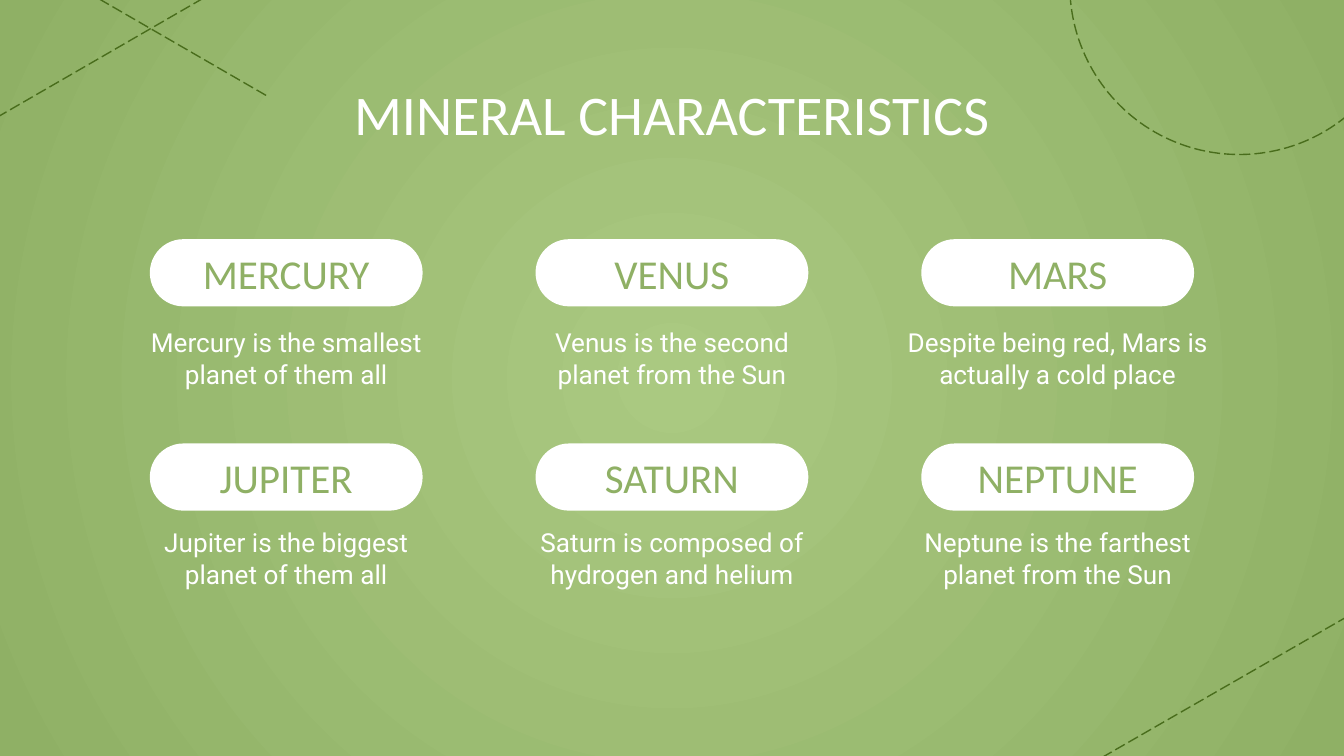
from dataclasses import dataclass

from lxml.etree import SubElement
from pptx import Presentation
from pptx.dml.color import RGBColor as RGB
from pptx.enum.dml import MSO_LINE as Dash
from pptx.enum.shapes import MSO_CONNECTOR as Wire, MSO_SHAPE as Form
from pptx.enum.text import MSO_ANCHOR as Anchor, MSO_AUTO_SIZE as Fit, PP_ALIGN as Align
from pptx.oxml.ns import qn
from pptx.util import Inches, Pt

WIDE = 10
HIGH = WIDE * 9 / 16
PITCH = 2.87  # between column centres
PILL = (2.03, 0.5)
NOTE = (2.52, 0.53)
HUES = {"glow": "AAC981", "leaf": "8FB065", "moss": "496D1C", "white": "FFFFFF"}
FONTS = {
    "title": {"name": "Calibri", "size": Pt(30)},
    "pill": {"name": "Calibri", "size": Pt(22)},
    "note": {"name": "Roboto", "size": Pt(14)},
}
FRAME = {
    "word_wrap": True,
    "auto_size": Fit.NONE,
    **{f"margin_{side}": Inches(0.1) for side in ("left", "top", "right", "bottom")},
}
DASHED = {"width": Pt(0.75), "dash_style": Dash.LONG_DASH}
RAYS = [
    (-0.9, 1.38, 4.26, -1.6),
    (1.98, 0.71, -0.84, -0.92),
    (7.81, 5.86, 10.63, 4.24),
]


@dataclass
class Planet:
    name: str
    fact: str


@dataclass
class Row:
    pill_top: float
    note_top: float
    planets: list[Planet]


ROWS = [
    Row(1.78, 2.33, [
        Planet("MERCURY", "Mercury is the smallest planet of them all"),
        Planet("VENUS", "Venus is the second planet from the Sun"),
        Planet("MARS", "Despite being red, Mars is actually a cold place"),
    ]),
    Row(3.3, 3.82, [
        Planet("JUPITER", "Jupiter is the biggest planet of them all"),
        Planet("SATURN", "Saturn is composed of hydrogen and helium"),
        Planet("NEPTUNE", "Neptune is the farthest planet from the Sun"),
    ]),
]


def hue(key: str) -> RGB:
    return RGB.from_string(HUES[key])


def apply(item, values: dict) -> None:
    for name, value in values.items():
        setattr(item, name, value)


def box(mid: float, top: float, size: tuple[float, float]) -> list[int]:
    """Bounds of an area centred on a column."""
    wide, high = size
    return [Inches(n) for n in (mid - wide / 2, top, wide, high)]


def write(shape, text: str, style: str, tint: str, anchor=Anchor.TOP) -> None:
    frame = shape.text_frame
    apply(frame, FRAME | {"vertical_anchor": anchor})
    frame.text = text
    para = frame.paragraphs[0]
    para.alignment = Align.CENTER
    apply(para.font, FONTS[style])
    para.font.color.rgb = hue(tint)


def dash(line) -> None:
    apply(line, DASHED)
    line.color.rgb = hue("moss")


def paint(slide) -> None:
    """Fill the background with a gradient that spreads from the centre."""
    fill = slide.background.fill
    fill.gradient()
    for stop, key in zip(fill.gradient_stops, ("glow", "leaf")):
        stop.color.rgb = hue(key)
    grad = slide.element.find(".//" + qn("a:gradFill"))
    grad.remove(grad.find(qn("a:lin")))
    ring = SubElement(grad, qn("a:path"), {"path": "circle"})
    SubElement(ring, qn("a:fillToRect"), dict.fromkeys("ltrb", "50000"))


def adorn(slide) -> None:
    """Add the dashed rays and circle at the corners."""
    for ends in RAYS:
        ray = slide.shapes.add_connector(Wire.STRAIGHT, *map(Inches, ends))
        dash(ray.line)
        SubElement(ray.element.spPr, qn("a:effectLst"))
    orb = slide.shapes.add_shape(Form.OVAL, *box(9.22, -1.37, (2.52, 2.52)))
    orb.shadow.inherit = False
    orb.fill.background()
    dash(orb.line)


def add_planet(slide, planet: Planet, mid: float, row: Row) -> None:
    pill = slide.shapes.add_shape(Form.ROUNDED_RECTANGLE, *box(mid, row.pill_top, PILL))
    pill.adjustments[0] = 0.5
    pill.shadow.inherit = False
    pill.fill.solid()
    pill.fill.fore_color.rgb = hue("white")
    pill.line.fill.background()
    write(pill, planet.name, "pill", "leaf", Anchor.MIDDLE)
    note = slide.shapes.add_textbox(*box(mid, row.note_top, NOTE))
    write(note, planet.fact, "note", "white")


def main() -> None:
    deck = Presentation()
    deck.slide_width, deck.slide_height = Inches(WIDE), Inches(HIGH)
    slide = deck.slides.add_slide(deck.slide_layouts[5])
    paint(slide)
    adorn(slide)
    title = slide.shapes.title
    spot = box(WIDE / 2, 0.49, (8.43, 0.63))
    apply(title, dict(zip(("left", "top", "width", "height"), spot)))
    write(title, "MINERAL CHARACTERISTICS", "title", "white")
    for row in ROWS:
        for col, planet in enumerate(row.planets):
            add_planet(slide, planet, WIDE / 2 + (col - 1) * PITCH, row)
    deck.save("out.pptx")


if __name__ == "__main__":
    main()
